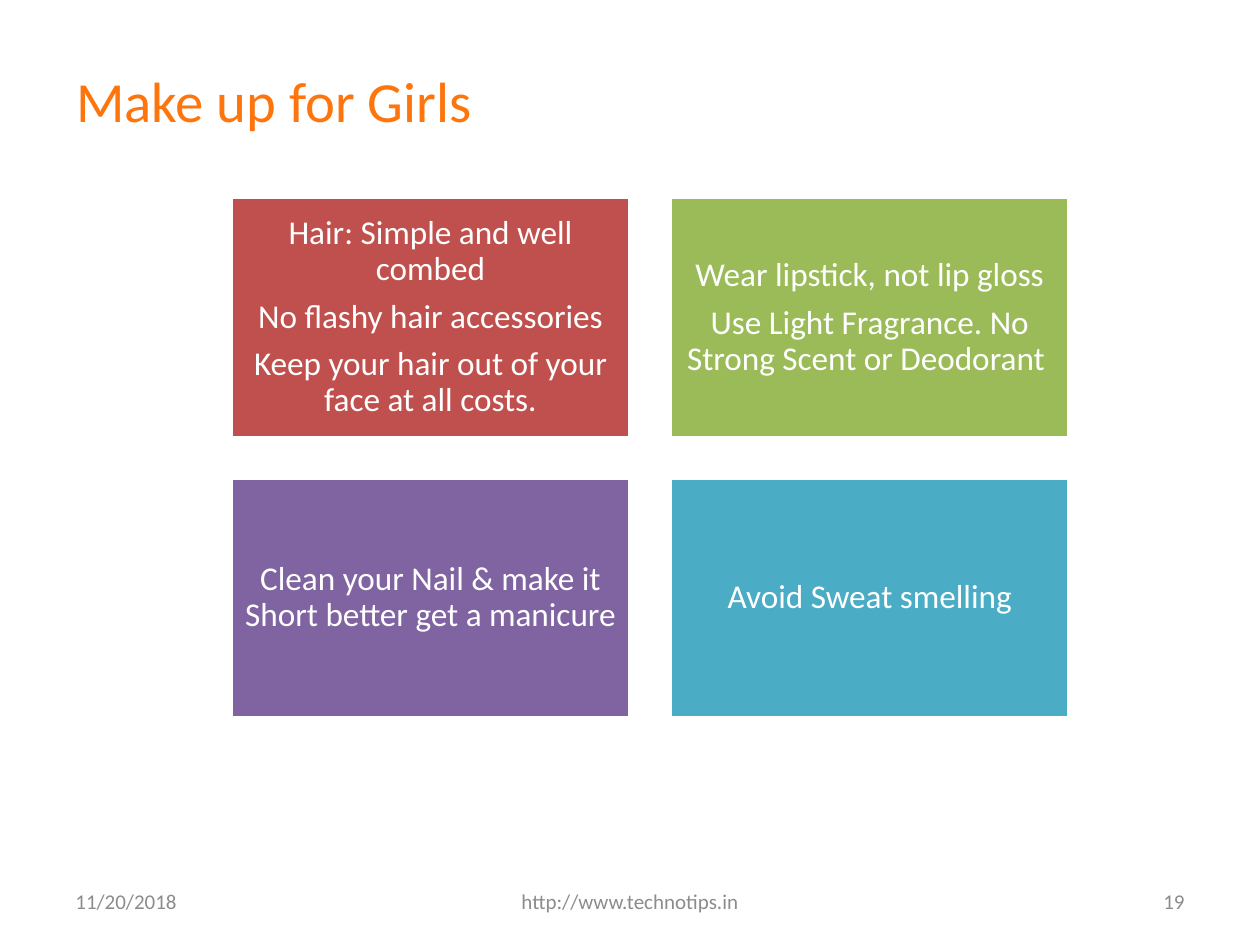
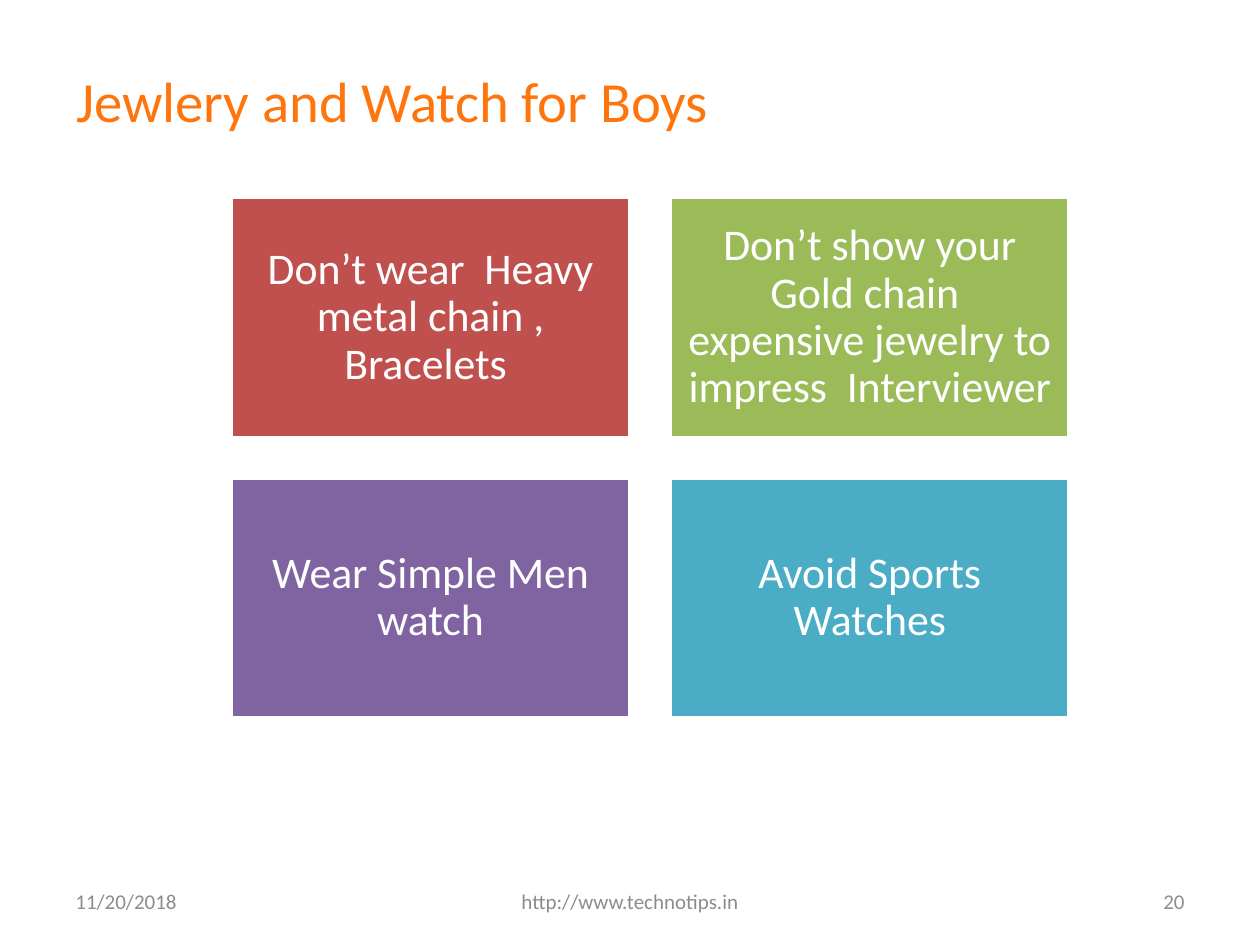
"""Build two interview grooming slides, each a grid of four coloured cards."""
from pptx import Presentation
from pptx.dml.color import RGBColor
from pptx.enum.shapes import MSO_SHAPE
from pptx.enum.text import MSO_ANCHOR, PP_ALIGN
from pptx.util import Pt

HUES = {
    "title": "FF750D",
    "foot": "8C8C8C",
    "white": "FFFFFF",
    "red": "C0504D",
    "green": "9BBB59",
    "purple": "8064A2",
    "blue": "4BACC6",
}
CARDS = ("red", "green", "purple", "blue")
LEFT, TOP = 132, 113
WIDE, HIGH = 228, 137
STEP_X, STEP_Y = 251, 160

TIPS = [
    (19, "Make up for Girls", 5.8, [
        ["Hair: Simple and well combed",
         "No flashy hair accessories",
         "Keep your hair out of your face at all costs."],
        ["Wear lipstick, not lip gloss",
         "Use Light Fragrance. No Strong Scent or Deodorant "],
        ["Clean your Nail & make it Short better get a manicure"],
        ["Avoid Sweat smelling"],
    ], 19),
    (20, "Jewlery and Watch for Boys", 7.2, [
        ["Don’t wear  Heavy metal chain , Bracelets "],
        ["Don’t show your Gold chain  expensive jewelry to impress  Interviewer"],
        ["Wear Simple Men watch"],
        ["Avoid Sports Watches"],
    ], 25),
]


def color(name):
    return RGBColor.from_string(HUES[name])


class Deck:
    def __init__(self):
        self.show = Presentation()
        self.show.slide_width, self.show.slide_height = Pt(720), Pt(540)
        self.font = "Calibri"
        self.slide = None

    def page(self, title, number):
        self.slide = self.show.slides.add_slide(self.show.slide_layouts[6])
        self.label(title, (36.5, 36, 648, 42), 32.4, "title")
        self.label("http://www.technotips.in", (246, 500.5, 228, 28.8),
                   12, "foot", PP_ALIGN.CENTER)
        self.label("11/20/2018", (36, 500.5, 168, 28.8), 12, "foot")
        self.label(str(number), (516, 500.5, 168, 28.8),
                   12, "foot", PP_ALIGN.RIGHT)

    def fill_text(self, frame, lines, size, hue, align):
        frame.word_wrap = True
        frame.vertical_anchor = MSO_ANCHOR.MIDDLE
        for i, line in enumerate(lines):
            para = frame.add_paragraph() if i else frame.paragraphs[0]
            para.text = line
            para.alignment = align
            para.font.name = self.font
            para.font.size = Pt(size)
            para.font.color.rgb = color(hue)

    def label(self, text, box, size, hue, align=PP_ALIGN.LEFT):
        area = self.slide.shapes.add_textbox(*map(Pt, box))
        self.fill_text(area.text_frame, [text], size, hue, align)

    def card(self, spot, fill, lines, size, inset):
        row, col = divmod(spot, 2)
        box = (LEFT + col * STEP_X, TOP + row * STEP_Y, WIDE, HIGH)
        shape = self.slide.shapes.add_shape(MSO_SHAPE.RECTANGLE, *map(Pt, box))
        shape.shadow.inherit = False
        shape.fill.solid()
        shape.fill.fore_color.rgb = color(fill)
        shape.line.color.rgb = color("white")
        shape.line.width = Pt(2)
        frame = shape.text_frame
        frame.margin_left = frame.margin_right = Pt(inset)
        frame.margin_top = frame.margin_bottom = Pt(inset)
        self.fill_text(frame, lines, size, "white", PP_ALIGN.CENTER)
        for para in frame.paragraphs:
            para.line_spacing = 0.9
            para.space_after = Pt(0.35 * size)


def main():
    deck = Deck()
    for number, title, inset, tips, size in TIPS:
        deck.page(title, number)
        for spot, (fill, lines) in enumerate(zip(CARDS, tips)):
            deck.card(spot, fill, lines, size, inset)
    deck.show.save("out.pptx")


if __name__ == "__main__":
    main()
